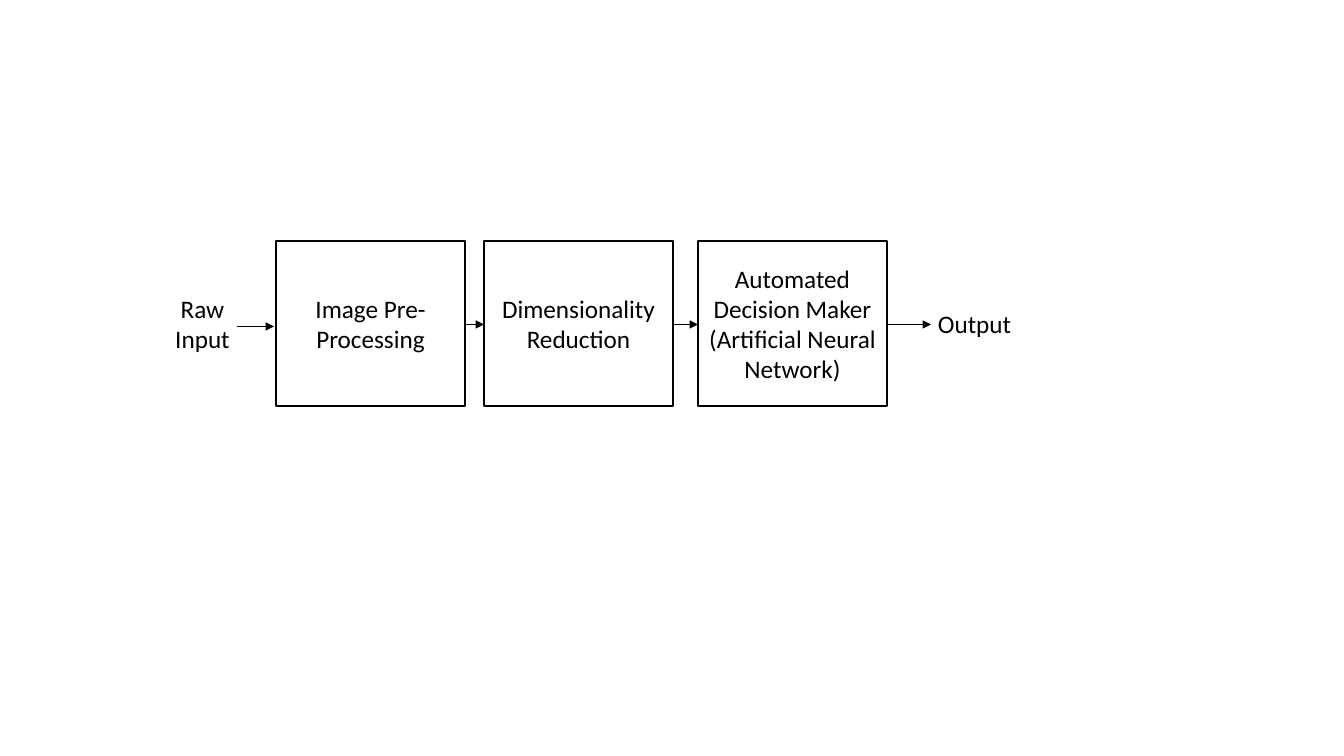
"""Build a slide showing an image recognition pipeline from raw input to output."""
from lxml.etree import SubElement
from pptx import Presentation
from pptx.dml.color import RGBColor
from pptx.enum.shapes import MSO_CONNECTOR, MSO_SHAPE
from pptx.enum.text import MSO_ANCHOR as ANCHOR, PP_ALIGN as ALIGN
from pptx.oxml.ns import qn
from pptx.util import Pt

STAGES = [
    (276, ["Image Pre-Processing"]),
    (484, ["Dimensionality Reduction"]),
    (698, ["Automated Decision Maker", "(Artificial Neural Network)"]),
]
RAW_INPUT = ["Raw", "Input"]
OUTPUT = ["Output"]

SCALE = 914400 / 100.8
STAGE_TOP, STAGE_WIDTH, STAGE_HEIGHT = 241, 189, 165
FLOW_Y = 324.5
INPUT_Y = 326.5
BLACK, WHITE = "000000", "FFFFFF"


def px(*lengths):
    return [round(length * SCALE) for length in lengths]


def color(code):
    return RGBColor.from_string(code)


def write(shape, lines, align=ALIGN.CENTER, anchor=ANCHOR.TOP, size=18, ink=BLACK):
    frame = shape.text_frame
    frame.word_wrap = True
    frame.vertical_anchor = anchor
    frame.text = "\n".join(lines)
    for paragraph in frame.paragraphs:
        paragraph.alignment = align
        font = paragraph.runs[0].font
        font.name, font.size = "Calibri", Pt(size)
        font.color.rgb = color(ink)


def add_stage(left, lines):
    stage = slide.shapes.add_shape(
        MSO_SHAPE.RECTANGLE, *px(left, STAGE_TOP, STAGE_WIDTH, STAGE_HEIGHT))
    stage.shadow.inherit = False
    stage.fill.solid()
    stage.fill.fore_color.rgb = color(WHITE)
    stage.line.color.rgb = color(BLACK)
    stage.line.width = Pt(1)
    write(stage, lines, anchor=ANCHOR.MIDDLE)


def add_label(box, lines, **form):
    write(slide.shapes.add_textbox(*px(*box)), lines, **form)


def add_arrow(start, end, y):
    arrow = slide.shapes.add_connector(MSO_CONNECTOR.STRAIGHT, *px(start, y, end, y))
    arrow.line.color.rgb = color(BLACK)
    arrow.line.width = Pt(0.5)
    SubElement(arrow.line._get_or_add_ln(), qn("a:tailEnd"), type="triangle")
    SubElement(arrow._element.spPr, qn("a:effectLst"))


deck = Presentation()
deck.slide_width, deck.slide_height = px(1344, 756)
slide = deck.slides.add_slide(deck.slide_layouts[6])

for left, lines in STAGES:
    add_stage(left, lines)
add_label((142, 288, 121, 72), RAW_INPUT)
add_label((928, 303, 117, 40), OUTPUT, align=ALIGN.LEFT)

lefts = [left for left, lines in STAGES]
add_arrow(237, 274, INPUT_Y)
for left, target in zip(lefts, lefts[1:] + [931]):
    add_arrow(left + STAGE_WIDTH, target, FLOW_Y)

deck.save("out.pptx")
